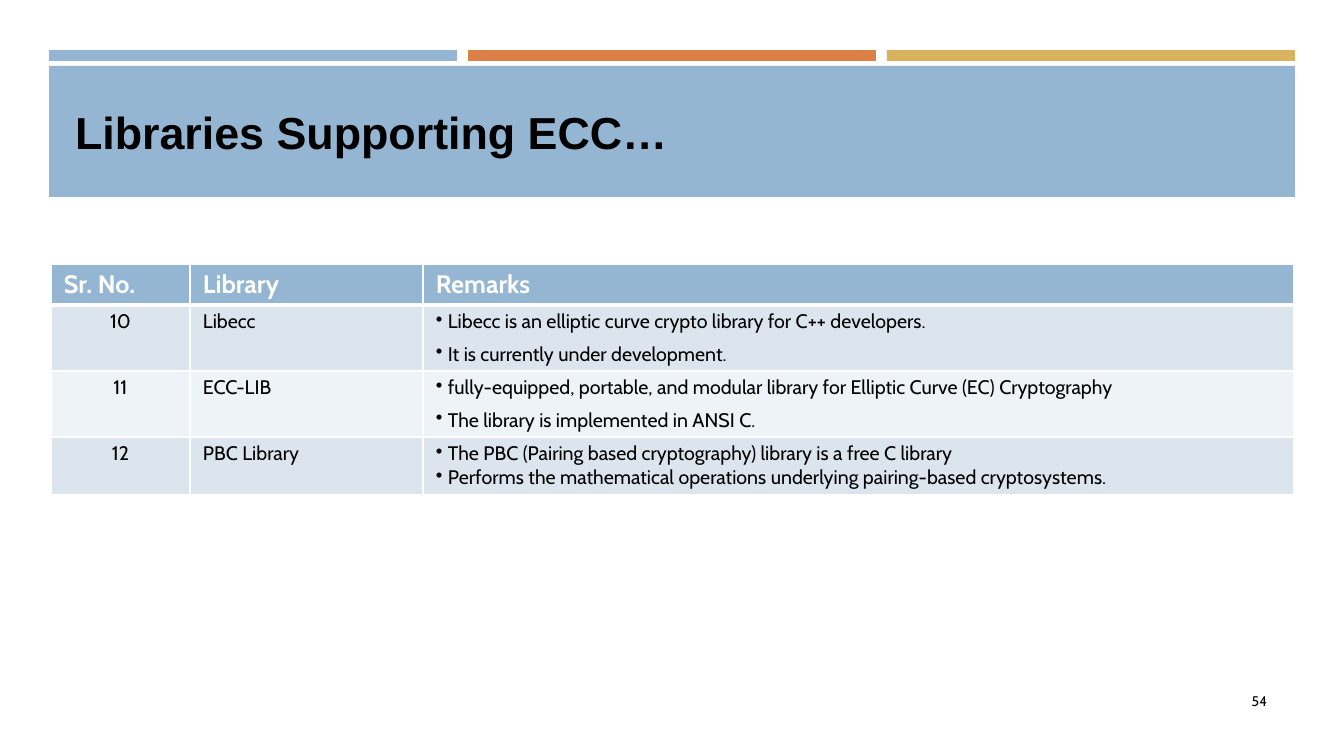
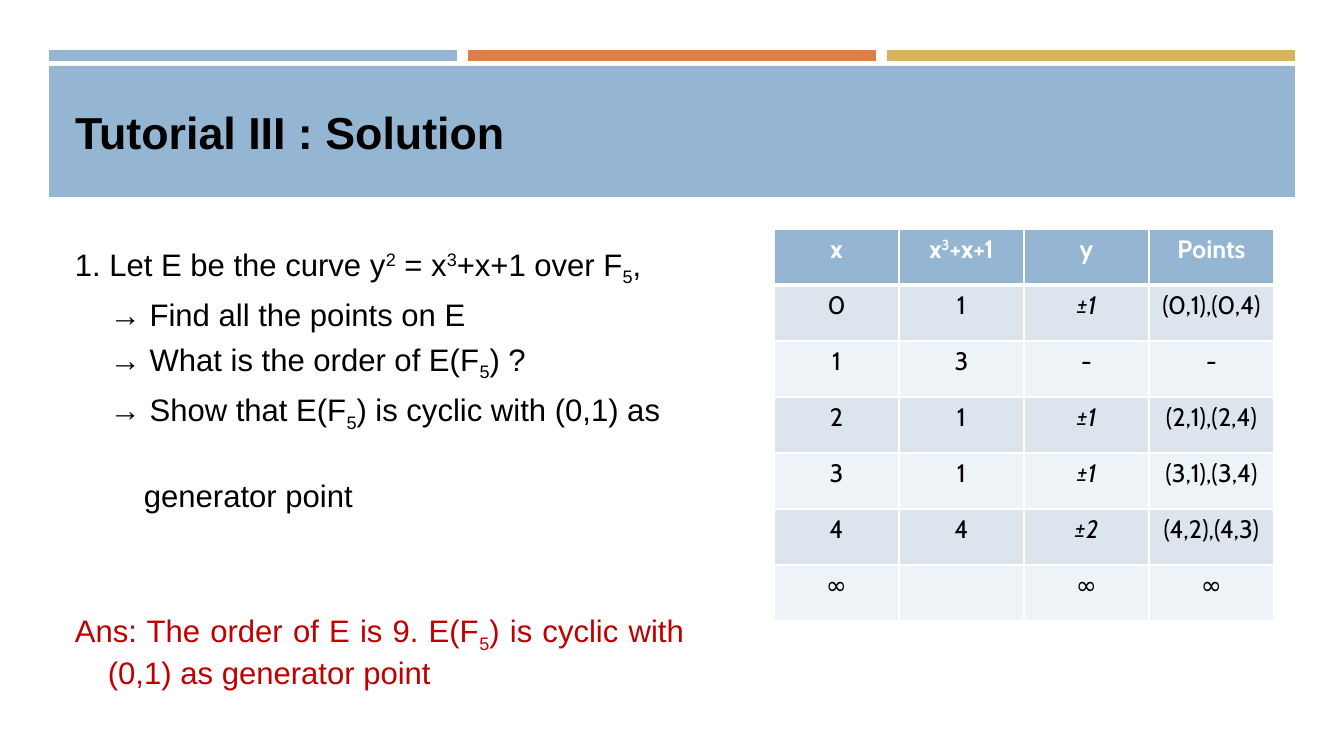
from lxml.etree import SubElement
from pptx import Presentation
from pptx.dml.color import RGBColor
from pptx.enum.shapes import MSO_SHAPE
from pptx.enum.text import MSO_ANCHOR, MSO_AUTO_SIZE, PP_ALIGN
from pptx.oxml import parse_xml
from pptx.oxml.ns import nsdecls, qn
from pptx.util import Emu, Pt

BLUE = RGBColor(0x94, 0xB6, 0xD2)
ORANGE = RGBColor(0xDD, 0x80, 0x47)
GOLD = RGBColor(0xD8, 0xB2, 0x5C)
DARK_ROW = RGBColor(0xDC, 0xE5, 0xEE)
LIGHT_ROW = RGBColor(0xEE, 0xF3, 0xF7)
BLACK = RGBColor(0, 0, 0)
WHITE = RGBColor(0xFF, 0xFF, 0xFF)
RED = RGBColor(0xC0, 0, 0)

HEADING_FONT = "Arial"
TABLE_FONT = "Cabin"
BASELINES = {"^": "30000", "_": "-25000"}

LIBRARY_ROWS = [
    ["Sr. No.", "Library", "Remarks"],
    ["10", "Libecc",
     "Libecc is an elliptic curve crypto library for C++ developers.\n"
     "It is currently under development."],
    ["11", "ECC-LIB",
     "fully-equipped, portable, and modular library for Elliptic Curve (EC) Cryptography\n"
     "The library is implemented in ANSI C."],
    ["12", "PBC Library",
     "The PBC (Pairing based cryptography) library is a free C library\n"
     "Performs the mathematical operations underlying pairing-based cryptosystems."],
]
POINT_ROWS = [
    ["x", "x|^3|+x+1", "y", "Points"],
    ["0", "1", "±1", "(0,1),(0,4)"],
    ["1", "3", "-", "-"],
    ["2", "1", "±1", "(2,1),(2,4)"],
    ["3", "1", "±1", "(3,1),(3,4)"],
    ["4", "4", "±2", "(4,2),(4,3)"],
    ["∞", "", "∞", "∞"],
]
SOLUTION_LINES = [
    ("1. Let E be the curve y|^2| = x|^3|+x+1 over F|_5|,", {"left": 33, "first": -33}),
    ("→ Find all the points on E", {"left": 35}),
    ("→ What is the order of E(F|_5|) ?", {"left": 35}),
    ("→ Show that E(F|_5|) is cyclic with (0,1) as", {"left": 35}),
    ("generator point", {"left": 69, "before": 30}),
    ("Ans: The order of E is 9. E(F|_5|) is cyclic with (0,1) as generator point",
     {"left": 33, "first": -33, "before": 69, "color": RED, "align": PP_ALIGN.JUSTIFY}),
]


def px(pixels):
    return Emu(round(pixels * 914400 / 100.8))


def write(paragraph, text, *, size, font=TABLE_FONT, color=BLACK, bold=False, italic=False,
          align=PP_ALIGN.LEFT, before=0, after=0, left=0, first=0, bullet=None):
    paragraph.alignment = align
    paragraph.space_before = Pt(before)
    paragraph.space_after = Pt(after)
    properties = paragraph._p.get_or_add_pPr()
    properties.set("marL", str(px(left)))
    properties.set("indent", str(px(first)))
    if bullet:
        SubElement(properties, qn("a:buChar")).set("char", bullet)
    for piece in filter(None, text.split("|")):
        run = paragraph.add_run()
        baseline = BASELINES.get(piece[0])
        run.text = piece[1:] if baseline else piece
        run.font.size = Pt(size)
        run.font.name = font
        run.font.color.rgb = color
        run.font.bold = bold
        run.font.italic = italic
        if baseline:
            run.font._element.set("baseline", baseline)


def write_lines(frame, lines):
    for index, (text, style) in enumerate(lines):
        paragraph = frame.add_paragraph() if index else frame.paragraphs[0]
        write(paragraph, text, **style)


def add_text(slide, left, top, width, height, lines):
    box = slide.shapes.add_textbox(px(left), px(top), px(width), px(height))
    box.text_frame.word_wrap = True
    write_lines(box.text_frame, lines)


def add_band(slide, left, top, width, height, color):
    band = slide.shapes.add_shape(MSO_SHAPE.RECTANGLE, px(left), px(top), px(width), px(height))
    band.shadow.inherit = False
    band.fill.solid()
    band.fill.fore_color.rgb = color
    band.line.fill.background()
    return band


def put_bands_on_layout(layout, slide):
    for placeholder in list(layout.placeholders)[1:]:
        placeholder._element.getparent().remove(placeholder._element)
    bands = [add_band(slide, 49 + 419 * index, 50, 408, 11, color)
             for index, color in enumerate([BLUE, ORANGE, GOLD])]
    bands.append(add_band(slide, 49, 66, 1246, 131, BLUE))
    for index, band in enumerate(bands):
        layout.shapes._spTree.insert(2 + index, band._element)


def add_titled_slide(presentation, layout, text):
    slide = presentation.slides.add_slide(layout)
    title = slide.shapes.title
    title.left, title.top, title.width, title.height = px(65), px(76), px(1216), px(112)
    frame = title.text_frame
    frame.word_wrap = True
    frame.auto_size = MSO_AUTO_SIZE.NONE
    frame.vertical_anchor = MSO_ANCHOR.MIDDLE
    write(frame.paragraphs[0], text, size=32, font=HEADING_FONT, bold=True)
    return slide


def set_borders(cell, row):
    widths = {"lnL": 1, "lnR": 1, "lnT": 3 if row == 1 else 1, "lnB": 3 if row == 0 else 1}
    properties = cell._tc.get_or_add_tcPr()
    for index, (side, width) in enumerate(widths.items()):
        properties.insert(index, parse_xml(
            f'<a:{side} {nsdecls("a")} w="{Pt(width)}"><a:solidFill>'
            f'<a:srgbClr val="{WHITE}"/></a:solidFill></a:{side}>'))


def add_grid(slide, left, top, widths, heights, rows, style, inset):
    table = slide.shapes.add_table(len(rows), len(widths), px(left), px(top),
                                   px(sum(widths)), px(sum(heights))).table
    table.horz_banding = False
    for column, width in zip(table.columns, widths):
        column.width = px(width)
    for row, height in zip(table.rows, heights):
        row.height = px(height)
    for row, texts in enumerate(rows):
        for column, text in enumerate(texts):
            cell = table.cell(row, column)
            cell.margin_left = cell.margin_right = px(inset)
            cell.fill.solid()
            cell.fill.fore_color.rgb = BLUE if row == 0 else (LIGHT_ROW, DARK_ROW)[row % 2]
            set_borders(cell, row)
            cell_style = style(row, column, text)
            write_lines(cell.text_frame, [(line, cell_style) for line in text.split("\n")])


def library_style(row, column, text):
    if row == 0:
        return {"size": 18, "color": WHITE, "bold": True}
    if column == 0:
        return {"size": 14, "align": PP_ALIGN.CENTER}
    if column == 1:
        return {"size": 14}
    spacing = 0 if row == 3 else 3
    return {"size": 14, "before": spacing, "after": spacing,
            "left": 12, "first": -12, "bullet": "•"}


def point_style(row, column, text):
    header = row == 0
    return {"size": 18, "align": PP_ALIGN.CENTER, "bold": header,
            "color": WHITE if header else BLACK, "italic": text.startswith("±")}


def fill_library_slide(slide):
    add_text(slide, 964, 688, 313, 50, [("54", {"size": 10, "align": PP_ALIGN.RIGHT})])
    add_grid(slide, 51, 264, [139, 233, 871], [41, 66, 66, 58],
             LIBRARY_ROWS, library_style, 13)


def fill_solution_slide(slide):
    base = {"size": 22.2, "font": HEADING_FONT, "before": 4.5, "after": 1}
    add_text(slide, 65, 240, 629, 405,
             [(text, {**base, **style}) for text, style in SOLUTION_LINES])
    add_grid(slide, 774, 229, [125] * 4, [56] * 7, POINT_ROWS, point_style, 10)


def main():
    presentation = Presentation()
    presentation.slide_width, presentation.slide_height = px(1344), px(756)
    layout = presentation.slide_layouts[5]
    library_slide = add_titled_slide(presentation, layout, "Libraries Supporting ECC…")
    put_bands_on_layout(layout, library_slide)
    fill_library_slide(library_slide)
    fill_solution_slide(add_titled_slide(presentation, layout, "Tutorial III : Solution"))
    presentation.save("out.pptx")


main()
